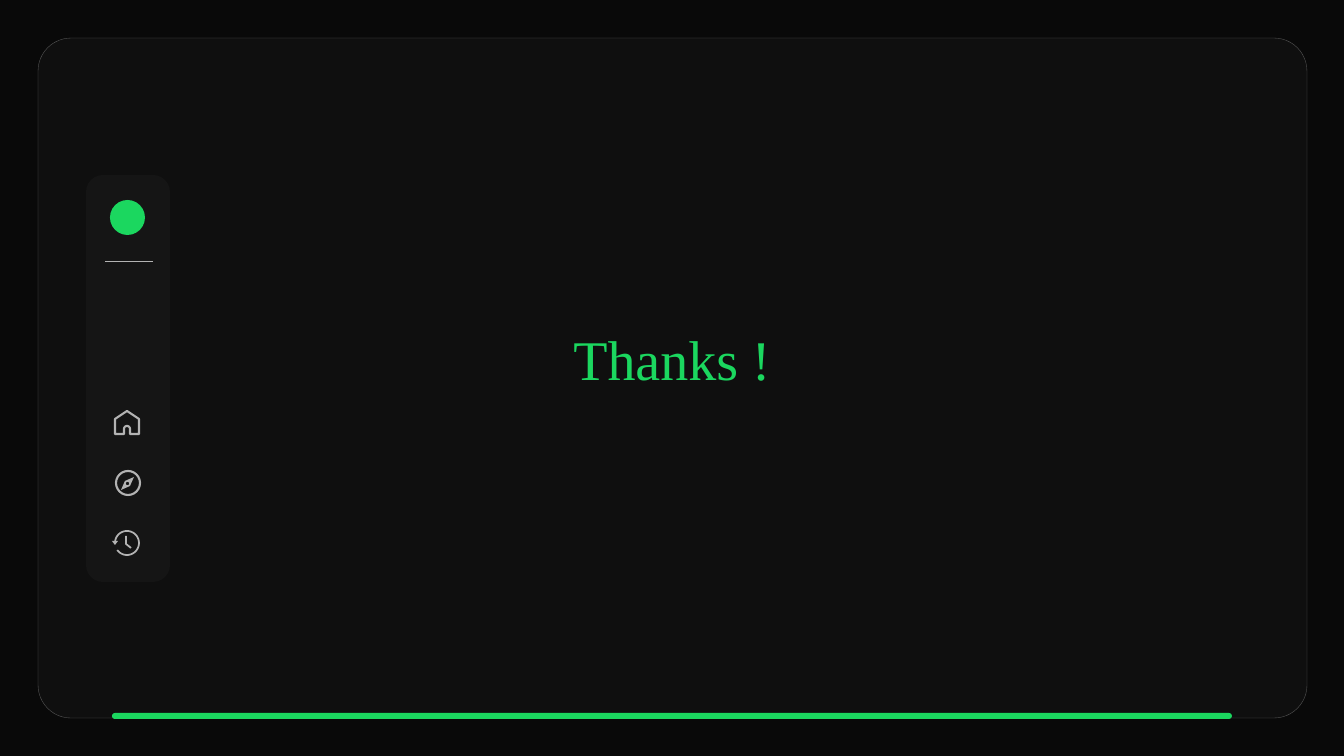
from dataclasses import dataclass
from math import cos, radians, sin
from typing import Optional

from lxml.etree import SubElement
from pptx import Presentation
from pptx.dml.color import RGBColor
from pptx.enum.shapes import MSO_CONNECTOR, MSO_SHAPE
from pptx.enum.text import MSO_ANCHOR, MSO_AUTO_SIZE, PP_ALIGN
from pptx.oxml.ns import qn
from pptx.util import Emu, Pt

EMU_PER_PX = 12192000 / 1344


@dataclass(frozen=True)
class Theme:
    backdrop: str = "090909"
    frame: str = "0F0F0F"
    frame_edge: str = "5A5A5A"
    sidebar: str = "151515"
    accent: str = "1BD75F"
    icon: str = "B3B3B3"
    font: str = "Times New Roman"
    title_size: float = 40
    hairline: float = 0.25
    icon_stroke: float = 1.5
    hand_stroke: float = 1.25


THEME = Theme()


@dataclass(frozen=True)
class Panel:
    left: int
    top: int
    width: int
    height: int
    fill: Optional[str] = None
    line: Optional[str] = None
    weight: float = THEME.hairline
    radius: Optional[int] = None  # None draws an ellipse


@dataclass(frozen=True)
class Outline:
    points: list
    fill: Optional[str] = None
    line: Optional[str] = None
    weight: float = THEME.icon_stroke
    closed: bool = False


def px(value: float) -> Emu:
    return Emu(round(value * EMU_PER_PX))


def arc(cx: int, cy: int, radius: int, start: int, end: int) -> list:
    """Points clockwise on a circle, every 6 degrees."""
    return [(cx + radius * cos(radians(a)), cy + radius * sin(radians(a)))
            for a in range(start, end + 1, 6)]


def paint(shape, fill: Optional[str], line: Optional[str], weight: float) -> None:
    shape.shadow.inherit = False
    if fill:
        shape.fill.solid()
        shape.fill.fore_color.rgb = RGBColor.from_string(fill)
    else:
        shape.fill.background()
    if line:
        shape.line.color.rgb = RGBColor.from_string(line)
        shape.line.width = Pt(weight)
    else:
        shape.line.fill.background()


def draw_panel(shapes, panel: Panel) -> None:
    kind = MSO_SHAPE.OVAL if panel.radius is None else MSO_SHAPE.ROUNDED_RECTANGLE
    shape = shapes.add_shape(kind, px(panel.left), px(panel.top),
                             px(panel.width), px(panel.height))
    if panel.radius is not None:
        shape.adjustments[0] = panel.radius / min(panel.width, panel.height)
    paint(shape, panel.fill, panel.line, panel.weight)


def draw_outline(shapes, outline: Outline) -> None:
    corners = [(px(x), px(y)) for x, y in outline.points]
    builder = shapes.build_freeform(*corners[0])
    builder.add_line_segments(corners[1:], close=outline.closed)
    paint(builder.convert_to_shape(), outline.fill, outline.line, outline.weight)


def draw_divider(shapes, left: int, right: int, y: int) -> None:
    divider = shapes.add_connector(MSO_CONNECTOR.STRAIGHT,
                                   px(left), px(y), px(right), px(y))
    divider.line.color.rgb = RGBColor.from_string(THEME.icon)
    divider.line.width = Pt(THEME.hairline)
    SubElement(divider._element.spPr, qn("a:effectLst"))


def apply(target, formats: dict) -> None:
    for name, value in formats.items():
        setattr(target, name, value)


def write_title(shapes, words: str) -> None:
    title = shapes.title
    apply(title, {"left": px(562), "top": px(319), "width": px(220), "height": px(78)})
    frame = title.text_frame
    frame.text = words
    apply(frame, {"word_wrap": False, "auto_size": MSO_AUTO_SIZE.SHAPE_TO_FIT_TEXT,
                  "vertical_anchor": MSO_ANCHOR.MIDDLE})
    paragraph = frame.paragraphs[0]
    paragraph.alignment = PP_ALIGN.CENTER
    font = paragraph.runs[0].font
    apply(font, {"name": THEME.font, "size": Pt(THEME.title_size)})
    font.color.rgb = RGBColor.from_string(THEME.accent)
    shapes._spTree.append(title._element)  # in front of the frame


# Frame, progress bar, sidebar and its badge
PANELS = [
    Panel(38, 38, 1269, 680, THEME.frame, THEME.frame_edge, radius=33),
    Panel(112, 713, 1120, 6, THEME.accent, radius=3),
    Panel(86, 175, 84, 407, THEME.sidebar, radius=17),
    Panel(110, 200, 35, 35, THEME.accent),
]

# Sidebar icons
HOME = [
    Outline([(139, 434), (130, 434), *reversed(arc(127, 429, 3, 180, 360)),
             (124, 434), (115, 434), (115, 419), (127, 411), (139, 419)],
            line=THEME.icon, closed=True),
]
COMPASS = [
    Panel(116, 471, 24, 24, line=THEME.icon, weight=THEME.icon_stroke),
    Outline([(125, 481), (121, 490), (130, 486), (134, 477)],
            fill=THEME.icon, closed=True),
    Panel(126, 482, 3, 3, THEME.sidebar),
]
HISTORY = [
    Outline(arc(127, 543, 12, 186, 504), line=THEME.icon, weight=THEME.hand_stroke),
    Outline([(126, 536), (126, 544), (131, 548)],
            line=THEME.icon, weight=THEME.hand_stroke),
    Outline([(112, 541), (115, 545), (118, 541)], fill=THEME.icon, closed=True),
]


def main() -> None:
    deck = Presentation()
    apply(deck, {"slide_width": px(1344), "slide_height": px(756)})
    slide = deck.slides.add_slide(deck.slide_layouts[5])
    slide.background.fill.solid()
    slide.background.fill.fore_color.rgb = RGBColor.from_string(THEME.backdrop)

    for part in [*PANELS, *HOME, *COMPASS, *HISTORY]:
        if isinstance(part, Panel):
            draw_panel(slide.shapes, part)
        else:
            draw_outline(slide.shapes, part)
    draw_divider(slide.shapes, 105, 153, 261)
    write_title(slide.shapes, "Thanks !")
    deck.save("out.pptx")


if __name__ == "__main__":
    main()
